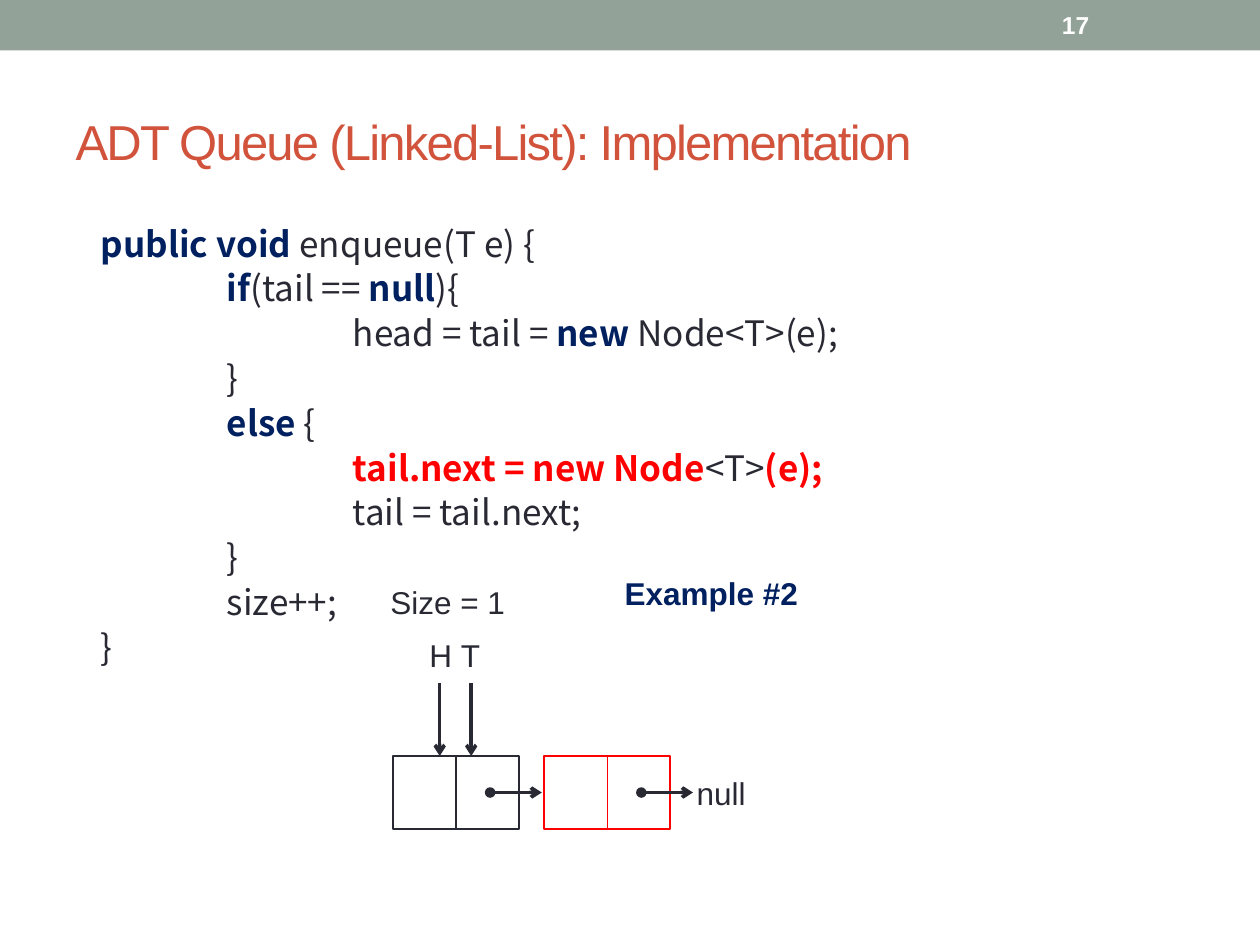
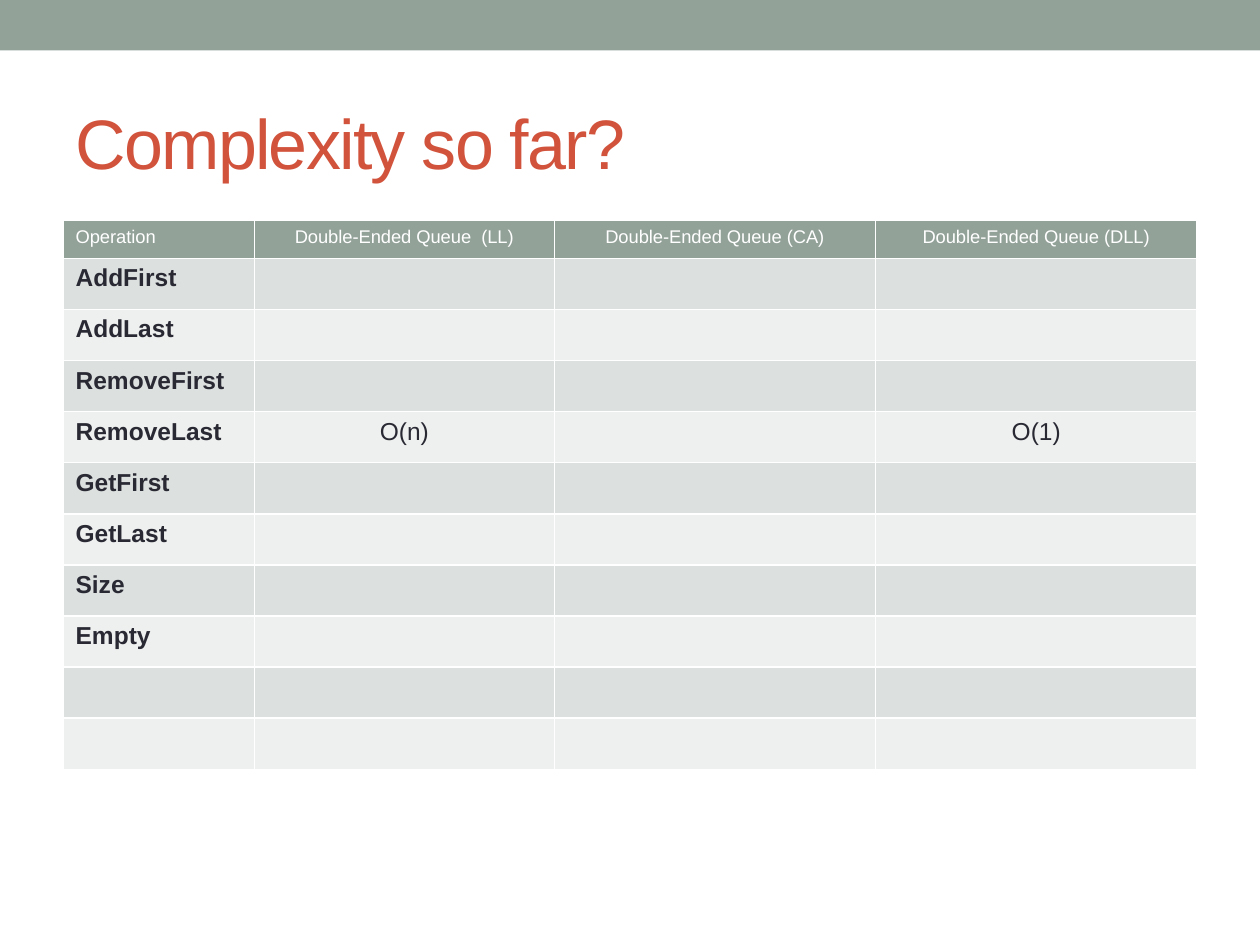
from lxml.etree import SubElement
from pptx import Presentation
from pptx.dml.color import RGBColor
from pptx.enum.shapes import MSO_CONNECTOR as CONNECTOR, MSO_SHAPE as SHAPE
from pptx.enum.text import MSO_ANCHOR as ANCHOR, MSO_AUTO_SIZE as AUTO_SIZE, PP_ALIGN as ALIGN
from pptx.oxml.ns import qn
from pptx.util import Inches, Pt

SAGE = RGBColor(0x93, 0xA2, 0x99)
BRICK = RGBColor(0xD2, 0x53, 0x3C)
INK = RGBColor(0x29, 0x29, 0x34)
NAVY = RGBColor(0x00, 0x20, 0x60)
RED = RGBColor(0xFF, 0x00, 0x00)
WHITE = RGBColor(0xFF, 0xFF, 0xFF)
ROW_FILLS = RGBColor(0xDC, 0xE0, 0xDE), RGBColor(0xEE, 0xF0, 0xEF)
FONT, CODE_FONT = "Arial", "Noto Sans CJK SC"

PLAIN = {"color": INK}
KEYWORD = {"color": NAVY, "bold": True}
CURRENT = {"color": RED, "bold": True}

# Each line of code: depth, then spans of text with their format
CODE = [
    (0, [("public void ", KEYWORD), ("enqueue(T e) {", PLAIN)]),
    (1, [("if", KEYWORD), ("(tail == ", PLAIN), ("null", KEYWORD), ("){", PLAIN)]),
    (2, [("head = tail = ", PLAIN), ("new ", KEYWORD), ("Node<T>(e);", PLAIN)]),
    (1, [("}", PLAIN)]),
    (1, [("else", KEYWORD), (" {", PLAIN)]),
    (2, [("tail.next = new Node", CURRENT), ("<T>", PLAIN), ("(e);", CURRENT)]),
    (2, [("tail = tail.next;", PLAIN)]),
    (1, [("}", PLAIN)]),
    (1, [("size++;", PLAIN)]),
    (0, [("}", PLAIN)]),
]
# Diagram labels: text, left, top, width, format
LABELS = [
    ("H", 3.31, 5, 0.39, PLAIN),
    ("T", 3.56, 5, 0.36, PLAIN),
    ("Size = 1", 3, 4.58, 1.22, PLAIN),
    ("null", 5.43, 6.09, 0.66, PLAIN),
    ("Example #2", 4.86, 4.51, 1.64, KEYWORD),
]
POINTER_XS = [3.49, 3.74]
NODES = [(3.12, INK), (4.32, RED)]
NODE_TOP, NODE_WIDTH, NODE_HEIGHT = 6, 1, 0.58

HEADINGS = ["Operation", "Double-Ended Queue  (LL)", "Double-Ended Queue (CA)",
            "Double-Ended Queue (DLL)"]
OPERATIONS = ["AddFirst", "AddLast", "RemoveFirst", "RemoveLast", "GetFirst",
              "GetLast", "Size", "Empty", "", ""]
COSTS = {"RemoveLast": ["O(n)", "", "O(1)"]}
COLUMN_WIDTHS = [1.52, 2.38, 2.55, 2.55]
HEADING_HEIGHT, TABLE_HEIGHT = 0.3, 4.35


def write(para, text, size=18, color=INK, bold=False, font=FONT, spacing=None):
    span = para.add_run()
    span.text = text
    span.font.size, span.font.bold, span.font.name = Pt(size), bold, font
    span.font.color.rgb = color
    if spacing is not None:
        span.font._element.set("spc", str(spacing * 100))


def place(shape, left, top, width, height):
    shape.left, shape.top = Inches(left), Inches(top)
    shape.width, shape.height = Inches(width), Inches(height)


def add_label(page, text, left, top, width, height=0.4, anchor=ANCHOR.TOP, **style):
    box = page.shapes.add_textbox(*map(Inches, (left, top, width, height)))
    box.text_frame.word_wrap = False
    box.text_frame.vertical_anchor = anchor
    write(box.text_frame.paragraphs[0], text, **style)


def add_box(page, left, top, width, height, fill, line=None):
    box = page.shapes.add_shape(SHAPE.RECTANGLE, *map(Inches, (left, top, width, height)))
    box.shadow.inherit = False
    box.fill.solid()
    box.fill.fore_color.rgb = fill
    if line is None:
        box.line.fill.background()
    else:
        box.line.color.rgb, box.line.width = line, Pt(1.25)


def add_line(page, start, end, color=INK, width=2, head=None, tail=None):
    line = page.shapes.add_connector(CONNECTOR.STRAIGHT, *map(Inches, (*start, *end)))
    line.line.color.rgb, line.line.width = color, Pt(width)
    for tag, kind in (("a:headEnd", head), ("a:tailEnd", tail)):
        if kind:
            SubElement(line.line._get_or_add_ln(), qn(tag), type=kind)
    SubElement(line._element.spPr, qn("a:effectLst"))


def add_page(deck, layout, title, title_size):
    """Add a slide with the top band and the title that all slides share."""
    page = deck.slides.add_slide(deck.slide_layouts[layout])
    add_box(page, 0, 0, 10, 0.4, SAGE)
    heading = page.shapes.title
    place(heading, 0.5, 0.58, 9, 1.08)
    frame = heading.text_frame
    frame.auto_size, frame.vertical_anchor = AUTO_SIZE.NONE, ANCHOR.MIDDLE
    frame.paragraphs[0].alignment = ALIGN.LEFT
    write(frame.paragraphs[0], title, size=title_size, color=BRICK, spacing=-1)
    return page


def fill_code(body):
    place(body, 0.5, 1.75, 9, 5.33)
    frame = body.text_frame
    frame.auto_size = AUTO_SIZE.NONE
    for number, (depth, spans) in enumerate(CODE):
        para = frame.add_paragraph() if number else frame.paragraphs[0]
        para.line_spacing, para.space_before = 0.9, Pt(4)
        properties = para._p.get_or_add_pPr()
        properties.set("marL", str(Inches(0.2 + depth)))
        properties.set("indent", "0")
        SubElement(properties, qn("a:buNone"))
        for text, style in spans:
            write(para, text, size=20, font=CODE_FONT, **style)


def draw_linked_list(page):
    for x in POINTER_XS:
        add_line(page, (x, 5.42), (x, NODE_TOP), tail="arrow")
    for left, color in NODES:
        add_box(page, left, NODE_TOP, NODE_WIDTH, NODE_HEIGHT, WHITE, color)
        middle = left + NODE_WIDTH / 2
        add_line(page, (middle, NODE_TOP), (middle, NODE_TOP + NODE_HEIGHT), color, 0.75)
    for left, _ in NODES:
        y = NODE_TOP + NODE_HEIGHT / 2
        add_line(page, (left + 0.77, y), (left + 1.18, y), head="oval", tail="arrow")
    for text, left, top, width, style in LABELS:
        add_label(page, text, left, top, width, **style)


def format_cell(cell, fill):
    properties = cell._tc.get_or_add_tcPr()
    for side in "LRTB":
        border = SubElement(properties, qn(f"a:ln{side}"), w=str(Pt(1)))
        paint = SubElement(border, qn("a:solidFill"))
        SubElement(paint, qn("a:srgbClr"), val=str(WHITE))
    cell.fill.solid()
    cell.fill.fore_color.rgb = fill


def add_complexity_table(page):
    rows = [HEADINGS] + [[name, *COSTS.get(name, [""] * 3)] for name in OPERATIONS]
    table = page.shapes.add_table(
        len(rows), len(HEADINGS), Inches(0.5), Inches(1.75),
        Inches(sum(COLUMN_WIDTHS)), Inches(TABLE_HEIGHT)).table
    for column, width in zip(table.columns, COLUMN_WIDTHS):
        column.width = Inches(width)
    row_height = (TABLE_HEIGHT - HEADING_HEIGHT) / len(OPERATIONS)
    for r, texts in enumerate(rows):
        table.rows[r].height = Inches(row_height if r else HEADING_HEIGHT)
        for c, text in enumerate(texts):
            cell = table.cell(r, c)
            if r:
                format_cell(cell, ROW_FILLS[(r - 1) % 2])
                style = {"size": 14, "bold": c == 0}
            else:
                format_cell(cell, SAGE)
                style = {"size": 10.5, "color": WHITE}
            if text:
                para = cell.text_frame.paragraphs[0]
                para.alignment = ALIGN.CENTER if c else ALIGN.LEFT
                write(para, text, **style)


def main():
    deck = Presentation()
    deck.slide_width, deck.slide_height = Inches(10), Inches(7.5)

    page = add_page(deck, 1, "ADT Queue (Linked-List): Implementation", 28)
    fill_code(page.placeholders[1])
    add_label(page, "17", 8.33, 0.02, 1.17, 0.36, ANCHOR.MIDDLE,
              size=14, color=WHITE, bold=True)
    draw_linked_list(page)

    page = add_page(deck, 5, "Complexity so far?", 40)
    add_complexity_table(page)

    deck.save("out.pptx")


if __name__ == "__main__":
    main()
